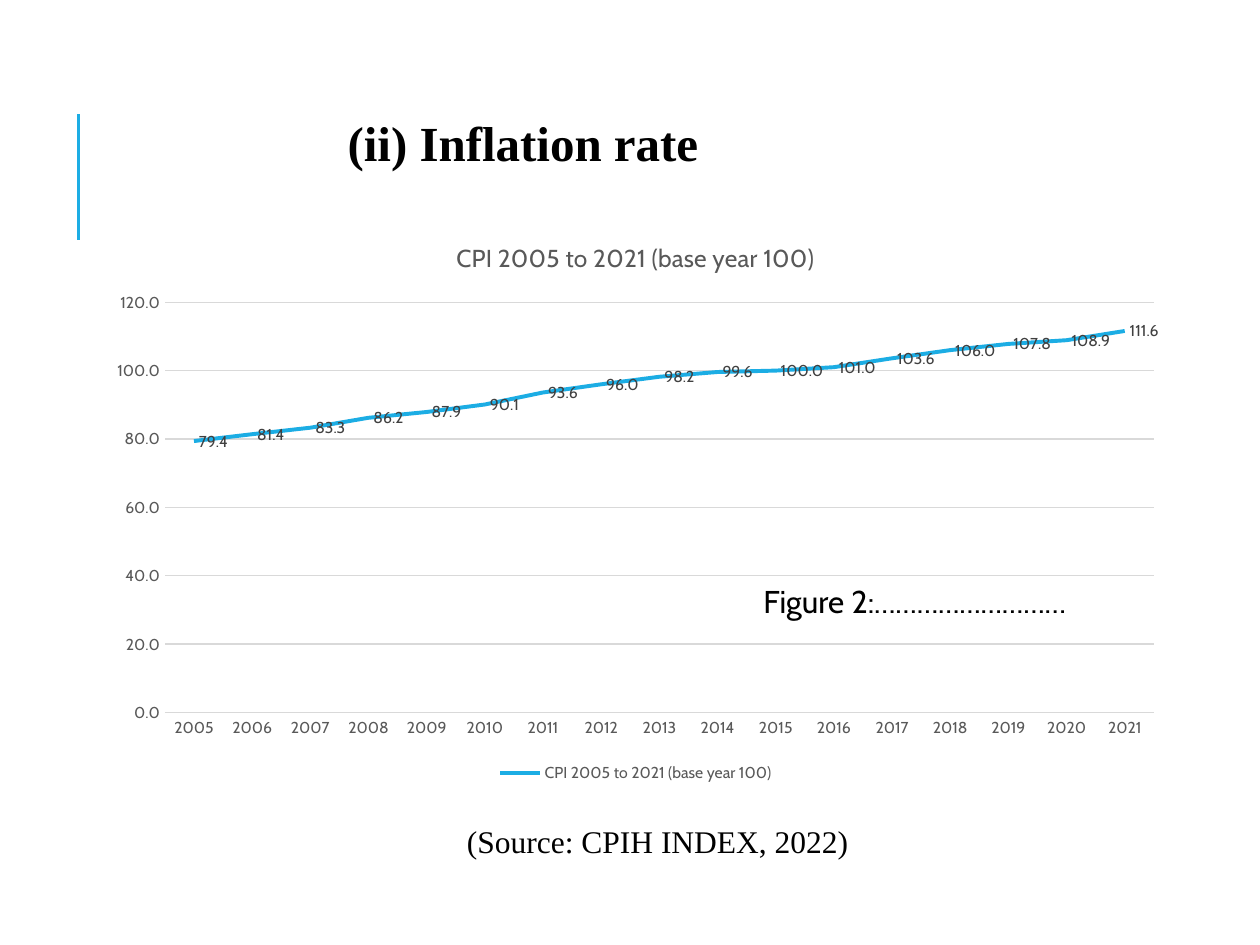
from dataclasses import dataclass

from lxml import etree
from pptx import Presentation
from pptx import util as u
from pptx.chart import data
from pptx.dml import color
from pptx.enum import chart as charts, shapes, text
from pptx.oxml import ns


@dataclass(frozen=True)
class Theme:
    accent: str = "1CADE4"
    ink: str = "000000"
    muted: str = "595959"
    label: str = "404040"
    grid: str = "D9D9D9"
    sans: str = "Cabin"
    serif: str = "Times New Roman"
    title: int = 28
    body: int = 18
    chart_title: int = 14
    chart_text: int = 9


THEME = Theme()
SERIES_NAME = "CPI 2005 to 2021 (base year 100)"
YEARS = [str(year) for year in range(2005, 2022)]
INDEX = [79.4, 81.4, 83.3, 86.2, 87.9, 90.1, 93.6, 96, 98.2,
         99.6, 100, 101, 103.6, 106, 107.8, 108.9, 111.6]


def rgb(value):
    return color.RGBColor.from_string(value)


def style_font(font, name, size, ink, bold=False):
    font.name = name
    font.size = u.Pt(size)
    font.bold = bold
    font.color.rgb = rgb(ink)


def style_line(line, ink, width):
    line.color.rgb = rgb(ink)
    line.width = u.Pt(width)


def place(box, left, top, width, height):
    box.left, box.top = u.Pt(left), u.Pt(top)
    box.width, box.height = u.Pt(width), u.Pt(height)


def write(box, words, name, size, bold=False, wrap=True):
    frame = box.text_frame
    frame.word_wrap = wrap
    frame.auto_size = text.MSO_AUTO_SIZE.SHAPE_TO_FIT_TEXT
    frame.vertical_anchor = text.MSO_ANCHOR.TOP
    para = frame.paragraphs[0]
    span = para.add_run()
    span.text = words
    style_font(span.font, name, size, THEME.ink, bold)
    return para


def center(para, before=0, after=0):
    para.alignment = text.PP_ALIGN.CENTER
    para.line_spacing = 1.15
    para.space_before = u.Pt(before)
    para.space_after = u.Pt(after)


def add_text(page, words, area, name, wrap=True):
    box = page.shapes.add_textbox(*map(u.Pt, area))
    return write(box, words, name, THEME.body, wrap=wrap)


def add_title(page, words):
    box = page.shapes.title
    place(box, 72.7, 55.4, 452.2, 43.2)
    center(write(box, words, THEME.serif, THEME.title, bold=True), before=2)


def add_rule(page, x, top, bottom):
    rule = page.shapes.add_connector(
        shapes.MSO_CONNECTOR.STRAIGHT, u.Pt(x), u.Pt(bottom), u.Pt(x), u.Pt(top))
    style_line(rule.line, THEME.accent, 1.5)
    properties = rule.element.find(ns.qn("p:spPr"))
    etree.SubElement(properties, ns.qn("a:effectLst"))


def style_axes(chart):
    for axis in (chart.category_axis, chart.value_axis):
        axis.major_tick_mark = axis.minor_tick_mark = charts.XL_TICK_MARK.NONE
        style_font(axis.tick_labels.font, THEME.sans, THEME.chart_text, THEME.muted)
    style_line(chart.category_axis.format.line, THEME.grid, 0.75)
    values = chart.value_axis
    values.minimum_scale, values.maximum_scale, values.major_unit = 0, 120, 20
    values.format.line.fill.background()
    values.has_major_gridlines = True
    style_line(values.major_gridlines.format.line, THEME.grid, 0.75)
    values.tick_labels.number_format = "0.0"
    values.tick_labels.number_format_is_linked = False


def style_series(series):
    series.smooth = False
    series.marker.style = charts.XL_MARKER_STYLE.NONE
    style_line(series.format.line, THEME.accent, 2.25)
    labels = series.data_labels
    labels.show_value = True
    labels.number_format = "0.0"
    labels.number_format_is_linked = False
    labels.position = charts.XL_LABEL_POSITION.RIGHT
    style_font(labels.font, THEME.sans, THEME.chart_text, THEME.label)


def add_index_chart(page):
    content = data.CategoryChartData(number_format="0.0")
    content.categories = YEARS
    content.add_series(SERIES_NAME, INDEX)
    area = map(u.Pt, (54.7, 124.6, 617, 325.4))
    chart = page.shapes.add_chart(charts.XL_CHART_TYPE.LINE, *area, content).chart
    style_font(chart.font, THEME.sans, 10, THEME.ink)
    chart.has_title = True
    span = chart.chart_title.text_frame.paragraphs[0].add_run()
    span.text = SERIES_NAME
    style_font(span.font, THEME.sans, THEME.chart_title, THEME.muted)
    chart.has_legend = True
    chart.legend.position = charts.XL_LEGEND_POSITION.BOTTOM
    chart.legend.include_in_layout = False
    style_font(chart.legend.font, THEME.sans, THEME.chart_text, THEME.muted)
    style_axes(chart)
    plot = chart.plots[0]
    plot.vary_by_categories = False
    style_series(plot.series[0])


def main():
    deck = Presentation()
    deck.slide_width, deck.slide_height = u.Pt(720), u.Pt(540)
    page = deck.slides.add_slide(deck.slide_layouts[5])
    add_rule(page, 44.8, 65, 137)
    add_title(page, "(ii) Inflation rate")
    add_index_chart(page)
    add_text(page, "Figure 2:………………………", (429.1, 329, 304.6, 28.8), THEME.sans)
    source = add_text(page, "(Source: CPIH INDEX, 2022)",
                      (258.5, 463, 234.7, 32.4), THEME.serif, wrap=False)
    center(source, after=10)
    deck.save("out.pptx")


if __name__ == "__main__":
    main()
